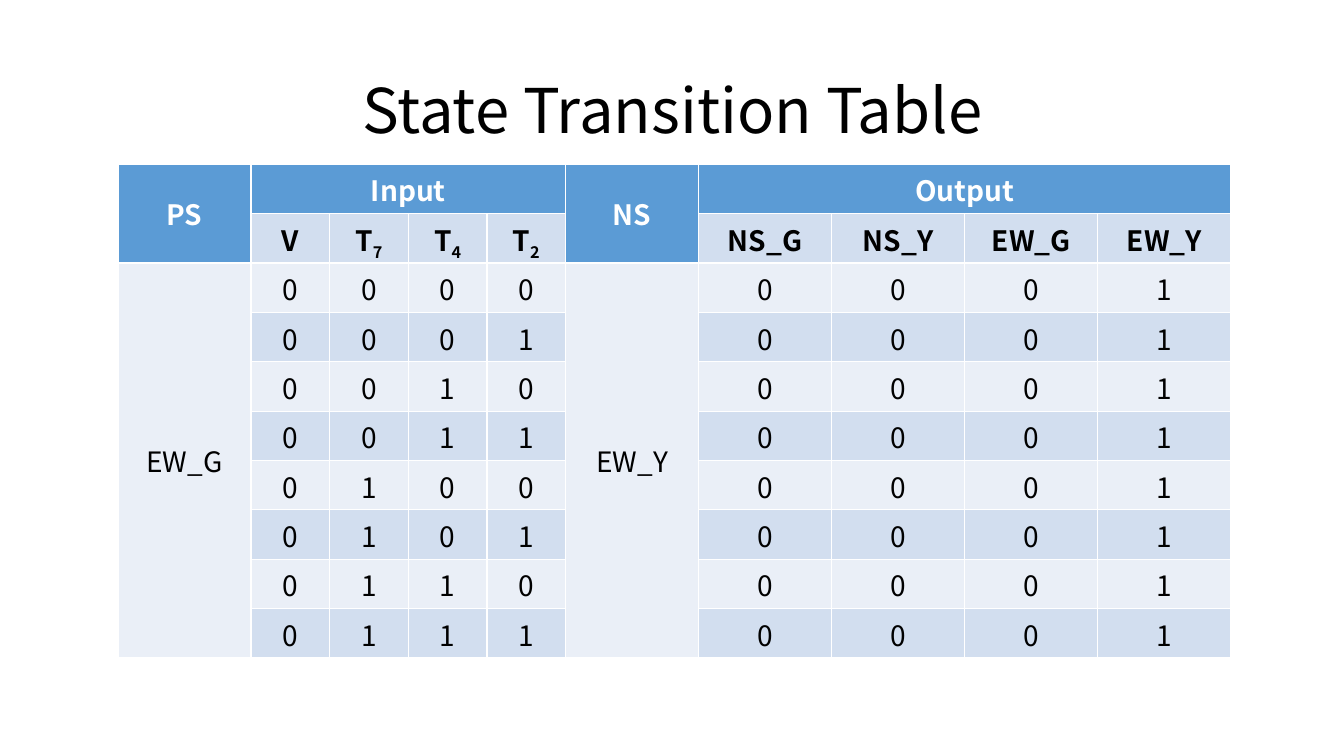
"""Build the state transition table slide."""
from dataclasses import dataclass
from itertools import product

from pptx import Presentation
from pptx.dml.color import RGBColor
from pptx.enum import text as t
from pptx.util import Inches, Pt

FONT = "Noto Sans CJK KR"
BLACK, WHITE = "000000", "FFFFFF"
BLUE, DARK, PALE = "5B9BD5", "D2DEEF", "EAEFF7"
WIDE, SLIM, HIGH = 1.32, 0.78, 0.49


@dataclass
class Cell:
    row: int
    col: int
    text: str
    fill: str
    rows: int = 1
    cols: int = 1
    sub: str = ""
    bold: bool = False
    color: str = BLACK


def rgb(code: str) -> RGBColor:
    return RGBColor.from_string(code)


def write(frame, words: str, *, size: float = 20, color: str = BLACK,
          bold: bool = False, sub: str = "", space: float | None = None) -> None:
    para = frame.paragraphs[0]
    para.alignment = t.PP_ALIGN.CENTER
    para.line_spacing = space
    for part in filter(None, (words, sub)):
        run = para.add_run()
        run.text = part
        run.font.name = FONT
        run.font.size = Pt(size)
        run.font.bold = bold
        run.font.color.rgb = rgb(color)
    if sub:
        run._r.get_or_add_rPr().set("baseline", "-25000")


def draw(table, item: Cell) -> None:
    cell = table.cell(item.row, item.col)
    end = table.cell(item.row + item.rows - 1, item.col + item.cols - 1)
    if cell is not end and item.rows * item.cols > 1:
        cell.merge(end)
    for row, col in product(range(item.rows), range(item.cols)):
        fill = table.cell(item.row + row, item.col + col).fill
        fill.solid()
        fill.fore_color.rgb = rgb(item.fill)
    cell.vertical_anchor = t.MSO_ANCHOR.MIDDLE
    write(cell.text_frame, item.text, color=item.color, bold=item.bold, sub=item.sub)


def cells() -> list[Cell]:
    heads = [Cell(0, col, name, BLUE, rows, cols, bold=True, color=WHITE)
             for col, name, rows, cols in ((0, "PS", 2, 1), (1, "Input", 1, 4),
                                           (5, "NS", 2, 1), (6, "Output", 1, 4))]
    ins = [Cell(1, col, name, DARK, sub=sub, bold=True)
           for col, (name, sub) in enumerate((("V", ""), ("T", "7"), ("T", "4"), ("T", "2")), 1)]
    outs = [Cell(1, col, name, DARK, bold=True)
            for col, name in enumerate(("NS_G", "NS_Y", "EW_G", "EW_Y"), 6)]
    states = [Cell(2, 0, "EW_G", PALE, rows=8), Cell(2, 5, "EW_Y", PALE, rows=8)]
    bits = []
    for row, times in enumerate(product("01", repeat=3), 2):
        fill = DARK if row % 2 else PALE
        bits += [Cell(row, col, bit, fill) for col, bit in enumerate(("0", *times), 1)]
        bits += [Cell(row, col, bit, fill) for col, bit in enumerate("0001", 6)]
    return heads + ins + outs + states + bits


def main() -> None:
    deck = Presentation()
    deck.slide_width, deck.slide_height = Inches(13.33), Inches(7.5)
    slide = deck.slides.add_slide(deck.slide_layouts[6])

    title = slide.shapes.add_textbox(Inches(0.92), Inches(0.4), Inches(11.5), Inches(1.45))
    title.text_frame.word_wrap = True
    title.text_frame.vertical_anchor = t.MSO_ANCHOR.MIDDLE
    write(title.text_frame, "State Transition Table", size=44, space=0.9)

    widths = [WIDE] + [SLIM] * 4 + [WIDE] * 5
    table = slide.shapes.add_table(10, 10, Inches(1.17), Inches(1.63),
                                   Inches(sum(widths)), Inches(10 * HIGH)).table
    for col, width in zip(table.columns, widths):
        col.width = Inches(width)
    for row in table.rows:
        row.height = Inches(HIGH)
    for item in cells():
        draw(table, item)
    deck.save("out.pptx")


if __name__ == "__main__":
    main()
